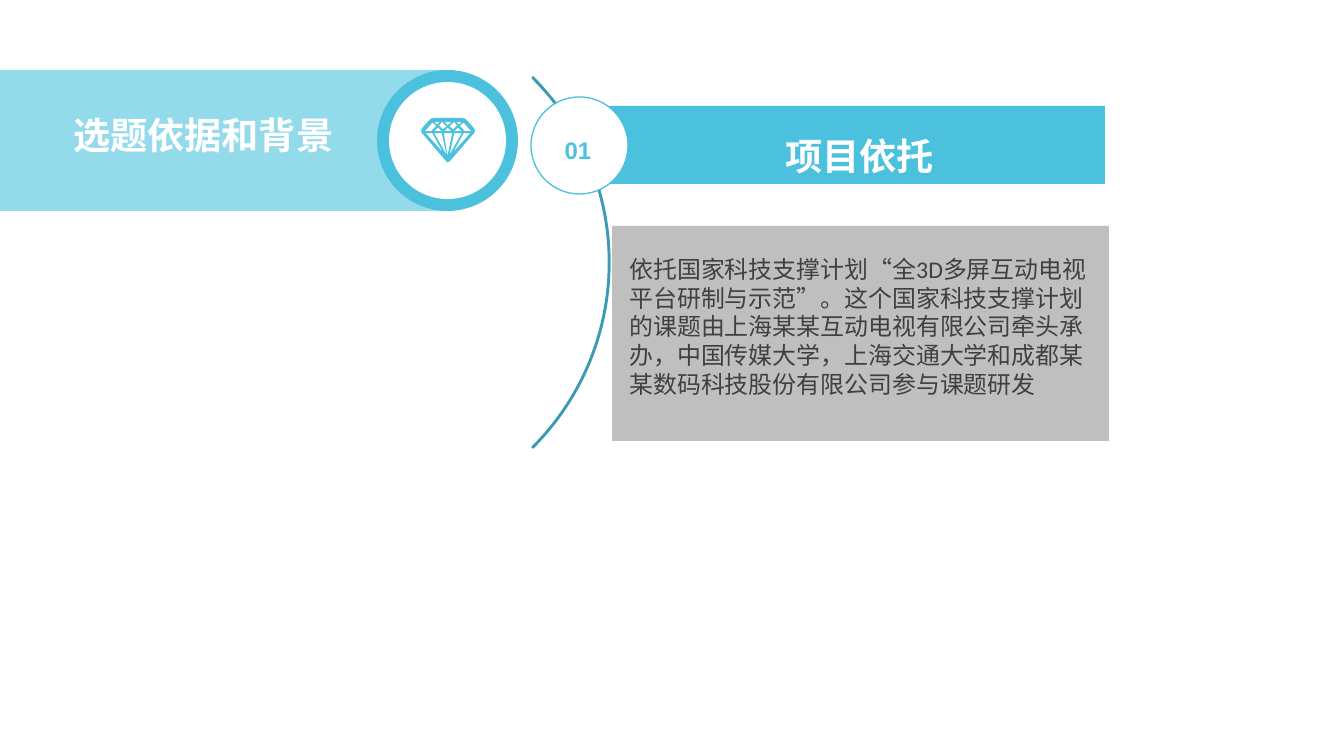
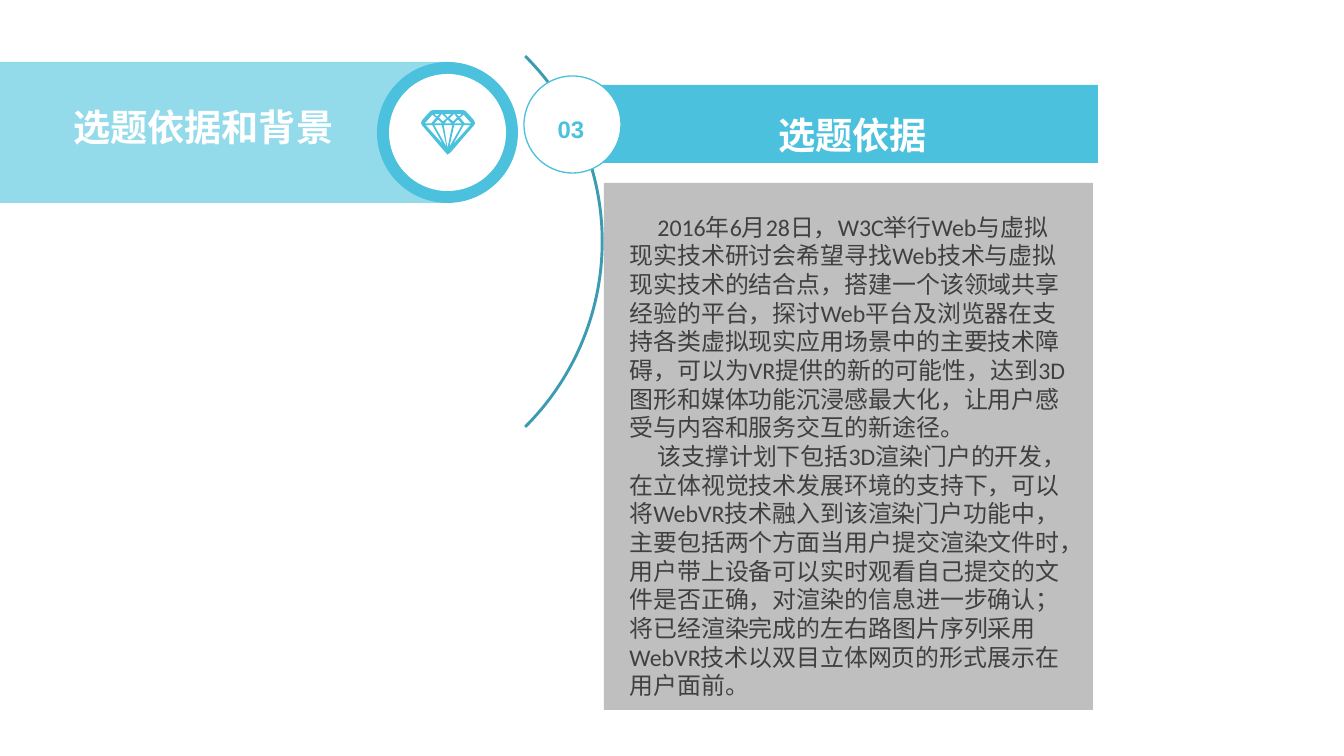
from dataclasses import dataclass

from pptx import Presentation
from pptx.dml.color import RGBColor
from pptx.enum.shapes import MSO_SHAPE as Preset
from pptx.enum.text import MSO_ANCHOR as Anchor, MSO_AUTO_SIZE as AutoSize, PP_ALIGN as Align
from pptx.shapes.autoshape import Shape
from pptx.shapes.shapetree import GroupShapes, SlideShapes
from pptx.util import Emu, Pt

EMU_PER_PX = 9565


@dataclass(frozen=True)
class Theme:
    pale: str = "93DAEB"
    accent: str = "4BC1DD"
    arc: str = "3C9BB1"
    panel: str = "BFBFBF"
    white: str = "FFFFFF"
    body: str = "404040"
    display_font: str = "Arial"
    body_font: str = "Calibri"
    heading_size: int = 28
    text_size: int = 18
    line_width: int = 1
    display_spacing: float = 1.2


@dataclass(frozen=True)
class Box:
    left: int
    top: int
    width: int
    height: int

    def moved(self, right: int, down: int) -> "Box":
        return Box(self.left + right, self.top + down, self.width, self.height)

    def inset(self, margin: int) -> "Box":
        return Box(self.left + margin, self.top + margin,
                   self.width - 2 * margin, self.height - 2 * margin)

    def emu(self) -> tuple[Emu, ...]:
        return tuple(px(length) for length in (self.left, self.top, self.width, self.height))


@dataclass(frozen=True)
class TextStyle:
    size: int
    font: str
    color: str
    bold: bool = False
    align: Align = Align.LEFT
    anchor: Anchor = Anchor.TOP
    wrap: bool = True
    line_spacing: float | None = None
    first_indent: int = 0


@dataclass(frozen=True)
class Topic:
    number: str
    heading: str
    paragraphs: tuple[str, ...]
    banner_top: int
    left: int
    top: int
    panel: Box
    body: Box
    anchor: Anchor = Anchor.TOP
    first_indent: int = 0


THEME = Theme()
SECTION_TITLE = "选题依据和背景"

DIAMOND_WIDTH = 57
DIAMOND_OUTLINE = ((56, 11), (47, 1), (44, 0), (13, 0), (10, 1), (1, 11), (0, 14),
                   (1, 16), (26, 45), (28, 47), (31, 45), (56, 16), (57, 14))
CENTRE_FACETS = (
    ((28, 8), (25, 4), (32, 4)),
    ((33, 16), (28, 40), (24, 16)),
    ((32, 14), (25, 14), (28, 10)),
)
LEFT_FACETS = (
    ((12, 5), (16, 8), (11, 14), (4, 14)),
    ((23, 36), (5, 16), (12, 16)),
    ((22, 16), (27, 39), (14, 16)),
    ((18, 10), (22, 14), (14, 14)),
    ((17, 7), (14, 4), (20, 4)),
    ((23, 12), (19, 8), (22, 4), (27, 9)),
)
RIGHT_FACETS = tuple(tuple((DIAMOND_WIDTH - x, y) for x, y in facet) for facet in LEFT_FACETS)

TOPICS = (
    Topic(
        "01", "项目依托",
        ("依托国家科技支撑计划“全3D多屏互动电视平台研制与示范”。这个国家科技支撑计划的课题由"
         "上海某某互动电视有限公司牵头承办，中国传媒大学，上海交通大学和成都某某数码科技股份"
         "有限公司参与课题研发",),
        banner_top=70, left=85, top=0,
        panel=Box(612, 226, 497, 215), body=Box(620, 250, 489, 155),
    ),
    Topic(
        "03", "选题依据",
        ("2016年6月28日，W3C举行Web与虚拟现实技术研讨会希望寻找Web技术与虚拟现实技术的结合点，"
         "搭建一个该领域共享经验的平台，探讨Web平台及浏览器在支持各类虚拟现实应用场景中的主要"
         "技术障碍，可以为VR提供的新的可能性，达到3D图形和媒体功能沉浸感最大化，让用户感受与"
         "内容和服务交互的新途径。",
         "该支撑计划下包括3D渲染门户的开发，在立体视觉技术发展环境的支持下，可以将WebVR技术融入"
         "到该渲染门户功能中，主要包括两个方面当用户提交渲染文件时，用户带上设备可以实时观看自己"
         "提交的文件是否正确，对渲染的信息进一步确认；将已经渲染完成的左右路图片序列采用WebVR技术"
         "以双目立体网页的形式展示在用户面前。"),
        banner_top=62, left=78, top=-21,
        panel=Box(604, 183, 489, 527), body=Box(620, 205, 459, 502),
        anchor=Anchor.MIDDLE, first_indent=28,
    ),
)


def px(length: int) -> Emu:
    return Emu(length * EMU_PER_PX)


def paint(shape: Shape, fill: str | None, line: str | None = None) -> None:
    shape.shadow.inherit = False
    if fill:
        shape.fill.solid()
        shape.fill.fore_color.rgb = RGBColor.from_string(fill)
    else:
        shape.fill.background()
    if line:
        shape.line.color.rgb = RGBColor.from_string(line)
        shape.line.width = Pt(THEME.line_width)
    else:
        shape.line.fill.background()


def add_preset(shapes: GroupShapes, preset: Preset, box: Box,
               fill: str | None, line: str | None = None) -> Shape:
    shape = shapes.add_shape(preset, *box.emu())
    paint(shape, fill, line)
    return shape


def add_text(shapes: GroupShapes | SlideShapes, box: Box,
             text: str, style: TextStyle) -> None:
    text_frame = shapes.add_textbox(*box.emu()).text_frame
    text_frame.text = text
    text_frame.word_wrap = style.wrap
    text_frame.auto_size = AutoSize.SHAPE_TO_FIT_TEXT
    text_frame.vertical_anchor = style.anchor
    for paragraph in text_frame.paragraphs:
        paragraph.alignment = style.align
        if style.line_spacing:
            paragraph.line_spacing = style.line_spacing
        if style.first_indent:
            properties = paragraph._p.get_or_add_pPr()
            properties.set("marL", "0")
            properties.set("indent", str(px(style.first_indent)))
        for run in paragraph.runs:
            run.font.size = Pt(style.size)
            run.font.name = style.font
            run.font.bold = style.bold
            run.font.color.rgb = RGBColor.from_string(style.color)


def display_style(size: int, color: str, align: Align, wrap: bool) -> TextStyle:
    return TextStyle(size, THEME.display_font, color, bold=True, align=align,
                     wrap=wrap, line_spacing=THEME.display_spacing)


def add_diamond(shapes: GroupShapes, left: int, top: int, width: int) -> None:
    builder = shapes.build_freeform(*DIAMOND_OUTLINE[0], scale=px(width) / DIAMOND_WIDTH)
    builder.add_line_segments(DIAMOND_OUTLINE[1:], close=True)
    for facet in CENTRE_FACETS + LEFT_FACETS + RIGHT_FACETS:
        builder.move_to(*facet[0])
        builder.add_line_segments(facet[1:], close=True)
    paint(builder.convert_to_shape(px(left), px(top)), THEME.accent)


def add_banner(shapes: GroupShapes, top: int) -> None:
    ring = Box(377, top, 141, 141)
    add_preset(shapes, Preset.RECTANGLE, Box(0, top, 446, 141), THEME.pale)
    add_preset(shapes, Preset.OVAL, ring, THEME.accent)
    add_preset(shapes, Preset.OVAL, ring.inset(12), THEME.white)
    add_diamond(shapes, 421, top + 48, 54)
    add_text(shapes, Box(64, top + 29, 282, 59), SECTION_TITLE,
             display_style(THEME.heading_size, THEME.white, Align.LEFT, wrap=False))


def add_topic_heading(shapes: GroupShapes, topic: Topic) -> None:
    def place(left: int, top: int, width: int, height: int) -> Box:
        return Box(left, top, width, height).moved(topic.left, topic.top)

    arc = add_preset(shapes, Preset.BLOCK_ARC, place(0, 0, 525, 525), None, THEME.arc)
    for index, value in enumerate((189, 27, 0.003)):
        arc.adjustments[index] = value
    add_preset(shapes, Preset.RECTANGLE, place(495, 106, 525, 78), THEME.accent)
    add_preset(shapes, Preset.OVAL, place(446, 97, 97, 97), THEME.white, THEME.accent)
    add_preset(shapes, Preset.RECTANGLE, topic.panel, THEME.panel)
    add_text(shapes, place(470, 125, 46, 44), topic.number,
             display_style(THEME.text_size, THEME.accent, Align.CENTER, wrap=False))
    add_text(shapes, place(584, 120, 381, 59), topic.heading,
             display_style(THEME.heading_size, THEME.white, Align.CENTER, wrap=True))


def main() -> None:
    presentation = Presentation()
    presentation.slide_width = px(1344)
    presentation.slide_height = px(756)
    for topic in TOPICS:
        slide = presentation.slides.add_slide(presentation.slide_layouts[6])
        add_banner(slide.shapes.add_group_shape().shapes, topic.banner_top)
        add_topic_heading(slide.shapes.add_group_shape().shapes, topic)
        add_text(slide.shapes, topic.body, "\n".join(topic.paragraphs),
                 TextStyle(THEME.text_size, THEME.body_font, THEME.body,
                           anchor=topic.anchor, first_indent=topic.first_indent))
    presentation.save("out.pptx")


if __name__ == "__main__":
    main()
